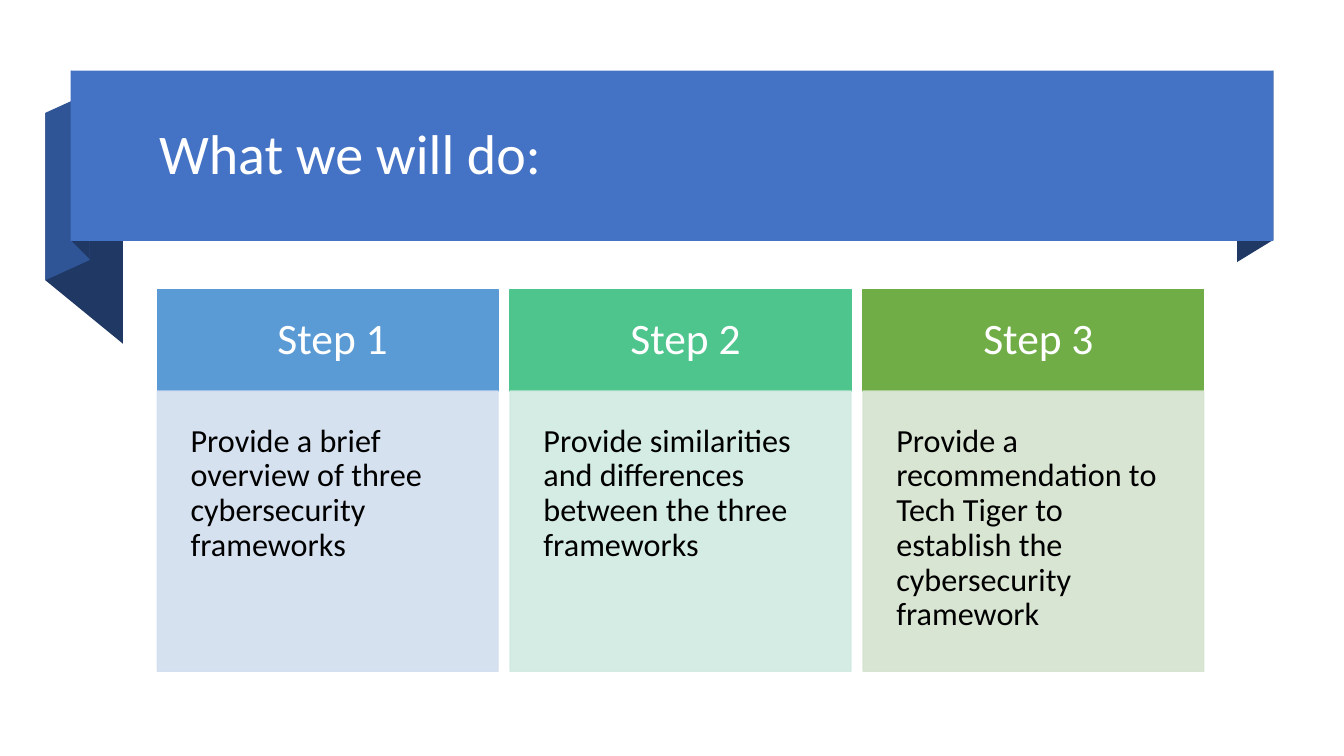
import lxml.etree
import pptx
import pptx.dml.color
import pptx.enum.shapes
import pptx.enum.text
import pptx.oxml.ns
import pptx.util

Inches = pptx.util.Inches
ANCHOR = pptx.enum.text.MSO_ANCHOR
ALIGN = pptx.enum.text.PP_ALIGN

COLORS = {
    "banner": "4472C4", "fold": "2F5597", "shade": "203864",
    "white": "FFFFFF", "black": "000000",
    "blue": "5B9BD5", "pale blue": "D2DEEF",
    "teal": "4DC58D", "pale teal": "D0EAE1",
    "green": "70AD47", "pale green": "D5E3CF",
}
TITLE = "What we will do:"
STEPS = [
    (" Step 1", "Provide a brief overview of three cybersecurity frameworks", "blue"),
    (" Step 2", "Provide similarities and differences between the three frameworks", "teal"),
    (" Step 3", "Provide a recommendation to Tech Tiger to establish the "
     "cybersecurity framework", "green"),
]
RIBBON_FOLDS = [
    ("shade", [(12.63, 2.38), (12.27, 2.6), (12.27, 0.91), (12.63, 0.7)]),
    ("shade", [(1.22, 3.41), (0.45, 2.78), (0.45, 1.12), (1.22, 1.75)]),
    ("fold", [(0.89, 2.58), (0.45, 2.78), (0.45, 1.12), (0.89, 0.92)]),
    ("shade", [(0.89, 2.57), (0.71, 2.39), (0.71, 0.7), (0.89, 0.89)]),
]
BANNER_BOX = (0.7, 0.7, 11.93, 1.69)
TITLE_BOX = (1.48, 0.83, 10.94, 1.45)
STEP_LEFT, STEP_PITCH, STEP_WIDTH = 1.56, 3.5, 3.38
HEADER_TOP, HEADER_HEIGHT, BODY_HEIGHT = 2.87, 1.01, 2.78


def rgb(name):
    """Return the named colour."""
    return pptx.dml.color.RGBColor.from_string(COLORS[name])


def paint(shape, color, outlined=False, opacity=100):
    """Fill a shape and optionally outline it in the same colour."""
    shape.shadow.inherit = False
    fills = [shape.fill]
    if outlined:
        shape.line.width = pptx.util.Pt(1)
        fills.append(shape.line.fill)
    else:
        shape.line.fill.background()
    for fill in fills:
        fill.solid()
        fill.fore_color.rgb = rgb(color)
    if opacity < 100:
        qn = pptx.oxml.ns.qn
        for element in list(shape.element.spPr.iter(qn("a:srgbClr"))):
            alpha = lxml.etree.SubElement(element, qn("a:alpha"))
            alpha.set("val", str(opacity * 1000))


def write(shape, text, size, color, anchor, align, inset=None):
    """Put one line-wrapped paragraph in a shape."""
    frame = shape.text_frame
    frame.word_wrap = True
    frame.vertical_anchor = anchor
    if inset is not None:
        frame.margin_left = frame.margin_right = Inches(inset)
        frame.margin_top = frame.margin_bottom = Inches(inset)
    paragraph = frame.paragraphs[0]
    paragraph.alignment = align
    paragraph.line_spacing = 0.9
    run = paragraph.add_run()
    run.text = text
    run.font.name = "Calibri"
    run.font.size = pptx.util.Pt(size)
    run.font.color.rgb = rgb(color)


def add_rectangle(slide, box, color, outlined=False, opacity=100):
    """Add a painted rectangle."""
    kind = pptx.enum.shapes.MSO_SHAPE.RECTANGLE
    shape = slide.shapes.add_shape(kind, *map(Inches, box))
    paint(shape, color, outlined, opacity)
    return shape


def add_ribbon(slide):
    """Draw the folded banner with the title on it."""
    for color, corners in RIBBON_FOLDS:
        points = [(Inches(x), Inches(y)) for x, y in corners]
        builder = slide.shapes.build_freeform(*points[0])
        builder.add_line_segments(points[1:], close=True)
        paint(builder.convert_to_shape(), color)
    add_rectangle(slide, BANNER_BOX, "banner")
    title = slide.shapes.add_textbox(*map(Inches, TITLE_BOX))
    write(title, TITLE, 40, "white", ANCHOR.MIDDLE, ALIGN.LEFT)


def add_steps(slide):
    """Draw one header and one body per step."""
    for index, (name, task, color) in enumerate(STEPS):
        left = STEP_LEFT + index * STEP_PITCH
        header = add_rectangle(
            slide, (left, HEADER_TOP, STEP_WIDTH, HEADER_HEIGHT), color, True)
        write(header, name, 31, "white", ANCHOR.MIDDLE, ALIGN.CENTER, 0.27)
        body = add_rectangle(
            slide, (left, HEADER_TOP + HEADER_HEIGHT, STEP_WIDTH, BODY_HEIGHT),
            "pale " + color, True, 90)
        write(body, task, 23, "black", ANCHOR.TOP, ALIGN.LEFT, 0.33)


def main():
    """Build and save the slide."""
    presentation = pptx.Presentation()
    presentation.slide_width = Inches(13.33)
    presentation.slide_height = Inches(7.5)
    slide = presentation.slides.add_slide(presentation.slide_layouts[6])
    add_ribbon(slide)
    add_steps(slide)
    presentation.save("out.pptx")


if __name__ == "__main__":
    main()
